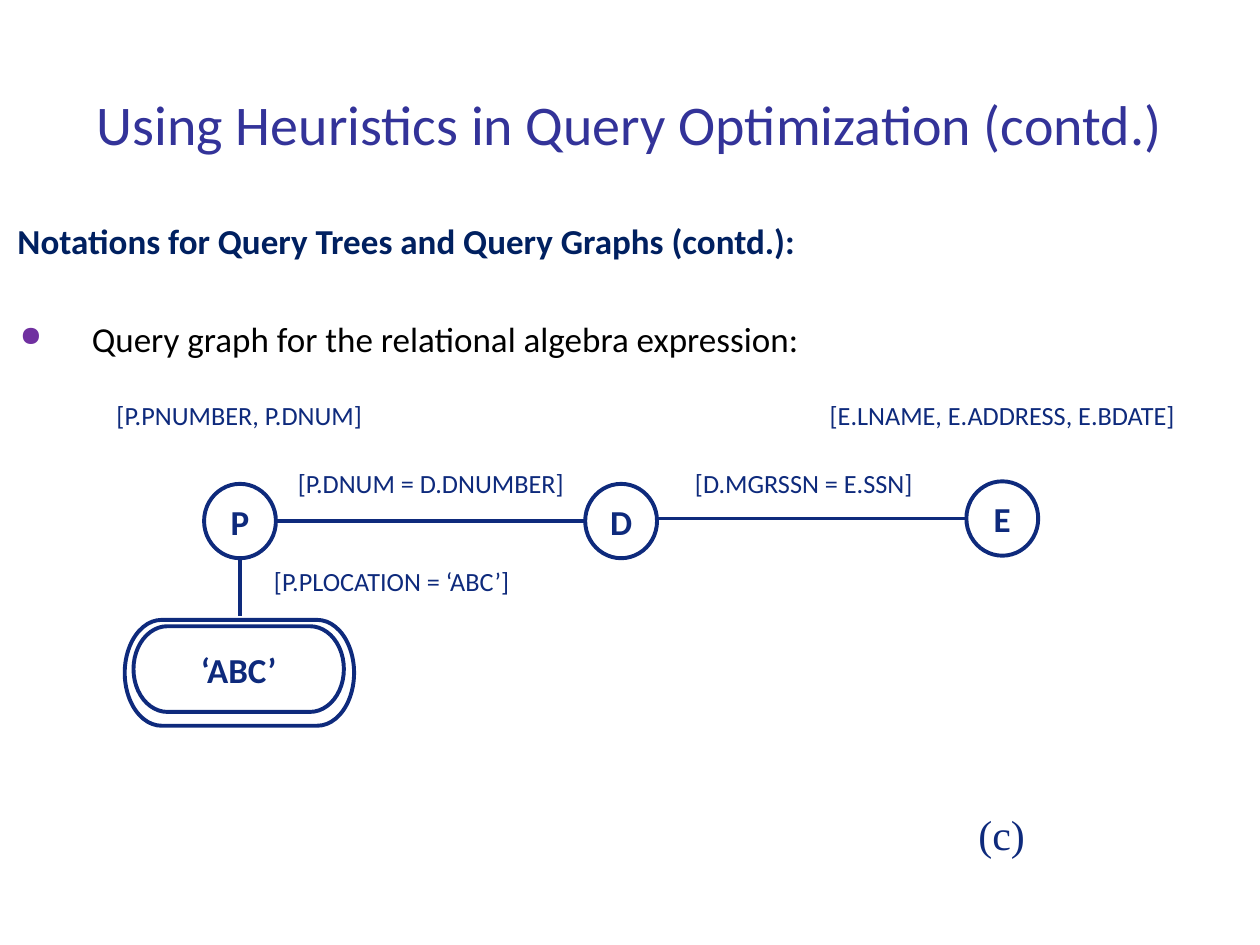
from lxml.etree import SubElement
from pptx import Presentation
from pptx.dml.color import RGBColor
from pptx.enum.shapes import MSO_CONNECTOR, MSO_SHAPE
from pptx.enum.text import MSO_ANCHOR, MSO_AUTO_SIZE, PP_ALIGN
from pptx.oxml.ns import qn
from pptx.util import Inches, Pt

NAVY = "0E2A7C"
LINE_WIDTH = Pt(2.25)
NODE_WIDTH, NODE_HEIGHT = 0.57, 0.59
NODE_LEFT, NODE_STEP = 1.62, 3.025  # columns of the query graph
NODE_TOP = 3.84
LABEL_WIDTH, LABEL_HEIGHT = 2.4, 0.35


def color(hex_string):
    return RGBColor.from_string(hex_string)


def style(paragraph, size, hex_string, bold=False, font_name="Calibri"):
    for run in paragraph.runs:
        run.font.name = font_name
        run.font.size = Pt(size)
        run.font.bold = bold
        run.font.color.rgb = color(hex_string)


def add_title(slide, text):
    title = slide.shapes.title
    title.left, title.top = Inches(0.23), Inches(0.35)
    title.width, title.height = Inches(9.54), Inches(1.25)
    text_frame = title.text_frame
    text_frame.text = text
    text_frame.vertical_anchor = MSO_ANCHOR.MIDDLE
    text_frame.paragraphs[0].alignment = PP_ALIGN.CENTER
    style(text_frame.paragraphs[0], 32, "333399")


def set_bullet(paragraph, character, hex_string, percent):
    properties = paragraph._p.get_or_add_pPr()
    properties.set("marL", str(Inches(0.59)))
    properties.set("indent", str(Inches(-0.57)))
    bullet_color = SubElement(properties, qn("a:buClr"))
    SubElement(bullet_color, qn("a:srgbClr"), val=hex_string)
    SubElement(properties, qn("a:buSzPct"), val=str(percent * 1000))
    SubElement(properties, qn("a:buChar"), char=character)


def add_body(slide, heading, bullet):
    box = slide.shapes.add_textbox(Inches(0.04), Inches(1.69), Inches(9.92), Inches(4.93))
    text_frame = box.text_frame
    text_frame.word_wrap = True
    text_frame.text = heading
    style(text_frame.paragraphs[0], 20, "002060", bold=True)
    paragraph = text_frame.add_paragraph()
    paragraph.text = bullet
    paragraph.space_before = Pt(32)
    set_bullet(paragraph, "●", "7030A0", 80)
    style(paragraph, 20, "000000")


def add_outline(slide, preset, left, top, width, height, text=""):
    shape = slide.shapes.add_shape(
        preset, Inches(left), Inches(top), Inches(width), Inches(height))
    shape.shadow.inherit = False
    shape.fill.background()
    shape.line.color.rgb = color(NAVY)
    shape.line.width = LINE_WIDTH
    if text:
        text_frame = shape.text_frame
        text_frame.word_wrap = False
        text_frame.vertical_anchor = MSO_ANCHOR.MIDDLE
        text_frame.text = text
        text_frame.paragraphs[0].alignment = PP_ALIGN.CENTER
        style(text_frame.paragraphs[0], 20, NAVY, bold=True)


def add_edge(slide, start_x, start_y, end_x, end_y):
    edge = slide.shapes.add_connector(
        MSO_CONNECTOR.STRAIGHT,
        Inches(start_x), Inches(start_y), Inches(end_x), Inches(end_y))
    edge.line.color.rgb = color(NAVY)
    edge.line.width = LINE_WIDTH
    SubElement(edge._element.spPr, qn("a:effectLst"))


def add_label(slide, text, left, top, width=LABEL_WIDTH, height=LABEL_HEIGHT,
              size=15, font_name="Calibri"):
    box = slide.shapes.add_textbox(
        Inches(left), Inches(top), Inches(width), Inches(height))
    text_frame = box.text_frame
    text_frame.word_wrap = True
    text_frame.auto_size = MSO_AUTO_SIZE.SHAPE_TO_FIT_TEXT
    text_frame.text = text
    text_frame.paragraphs[0].alignment = PP_ALIGN.CENTER
    style(text_frame.paragraphs[0], size, NAVY, font_name=font_name)


def main():
    presentation = Presentation()
    presentation.slide_width, presentation.slide_height = Inches(10), Inches(7.5)
    slide = presentation.slides.add_slide(presentation.slide_layouts[5])

    add_title(slide, "Using Heuristics in Query Optimization (contd.)")
    add_body(slide, "Notations for Query Trees and Query Graphs (contd.):",
             "Query graph for the relational algebra expression:")

    # Relation nodes; the last one sits slightly higher
    lefts = [NODE_LEFT + column * NODE_STEP for column in range(3)]
    tops = [NODE_TOP, NODE_TOP, NODE_TOP - 0.02]
    for name, left, top in zip("PDE", lefts, tops):
        add_outline(slide, MSO_SHAPE.OVAL, left, top, NODE_WIDTH, NODE_HEIGHT, name)

    # Join edges, each level with its right-hand node
    for left, right, top in zip(lefts, lefts[1:], tops[1:]):
        middle = top + NODE_HEIGHT / 2
        add_edge(slide, left + NODE_WIDTH, middle, right, middle)

    # Selection edge and double-outlined constant node
    center = NODE_LEFT + NODE_WIDTH / 2
    add_edge(slide, center, NODE_TOP + NODE_HEIGHT, center, 4.89)
    add_outline(slide, MSO_SHAPE.FLOWCHART_TERMINATOR, 1.06, 4.97, 1.67, 0.68, "‘ABC’")
    add_outline(slide, MSO_SHAPE.FLOWCHART_TERMINATOR, 0.99, 4.92, 1.82, 0.84)

    # Attribute lists, join conditions and selection condition
    add_label(slide, "[P.PNUMBER, P.DNUM]", 0.7, 3.12)
    add_label(slide, "[E.LNAME, E.ADDRESS, E.BDATE]", 6.46, 3.12, width=2.99)
    add_label(slide, "[P.DNUM = D.DNUMBER]", 2.22, 3.66)
    add_label(slide, "[D.MGRSSN = E.SSN]", 5.18, 3.66)
    add_label(slide, "[P.PLOCATION = ‘ABC’]", 1.91, 4.44)

    # Figure mark
    add_label(slide, "(c)", 6.97, 6.37, 1.96, 0.5, 24, "Times New Roman")

    presentation.save("out.pptx")


if __name__ == "__main__":
    main()
